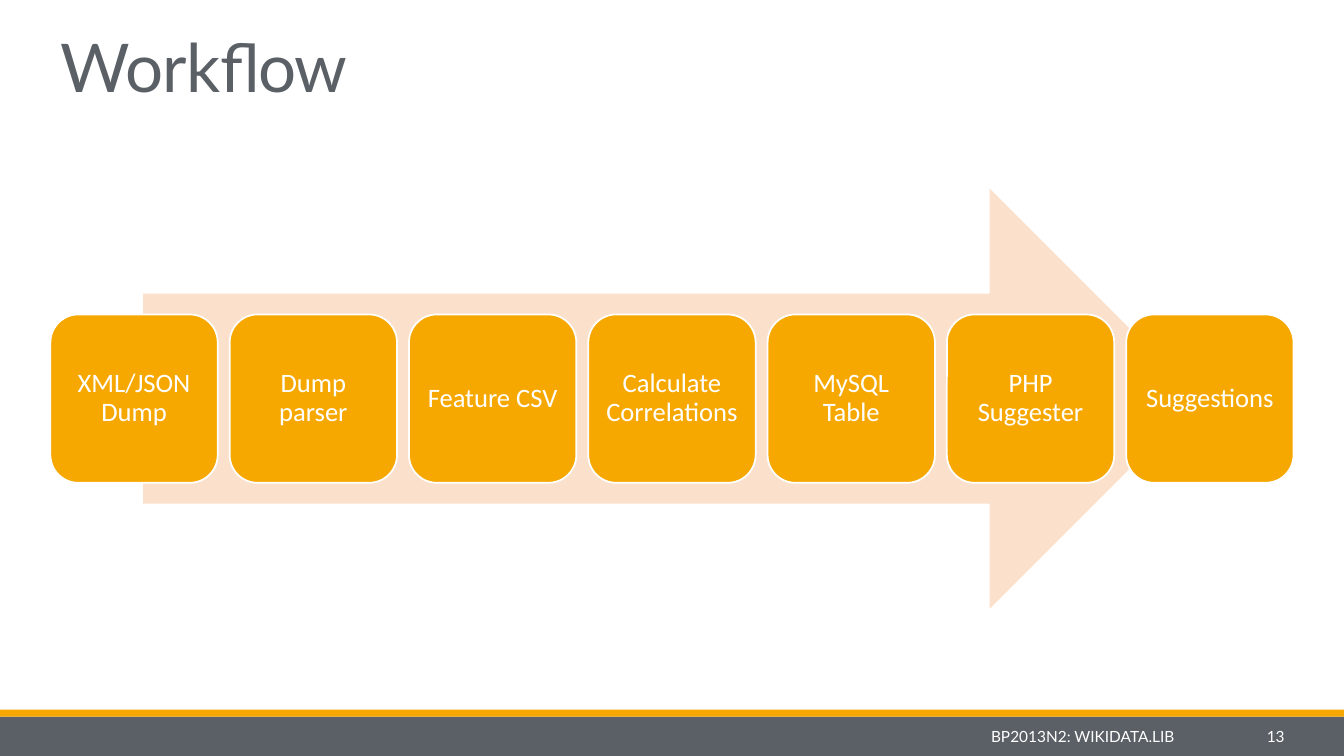
from pptx import Presentation
from pptx import util as u
from pptx.dml import color
from pptx.enum import shapes, text

HUES = {"gray": "5A6065", "gold": "F6A800", "peach": "FBE1CC", "white": "FFFFFF"}
STEPS = ["XML/JSON Dump", "Dump parser", "Feature CSV", "Calculate Correlations",
         "MySQL Table", "PHP Suggester", "Suggestions"]
FORMS = shapes.MSO_SHAPE
ALIGN = text.PP_ALIGN
ANCHOR = text.MSO_ANCHOR


def hue(name):
    return color.RGBColor.from_string(HUES[name])


def add_form(slide, kind, box, fill, line=None):
    form = slide.shapes.add_shape(kind, *map(u.Inches, box))
    form.shadow.inherit = False
    form.fill.solid()
    form.fill.fore_color.rgb = hue(fill)
    if line:
        form.line.color.rgb = hue(line)
        form.line.width = u.Pt(1.25)
    else:
        form.line.fill.background()
    return form


def write(frame, words, size, font, ink, align, anchor=ANCHOR.MIDDLE, space=1.0):
    frame.word_wrap = True
    frame.auto_size = text.MSO_AUTO_SIZE.NONE
    frame.vertical_anchor = anchor
    para = frame.paragraphs[0]
    para.alignment = align
    para.line_spacing = space
    run = para.add_run()
    run.text = words
    run.font.size = u.Pt(size)
    run.font.name = font
    run.font.color.rgb = hue(ink)
    return run


def add_title(slide, words):
    title = slide.shapes.title
    title.left, title.top, title.width, title.height = map(u.Inches, (0.5, 0, 11.04, 1.1))
    run = write(title.text_frame, words, 48, "Lato", "gray", ALIGN.LEFT, ANCHOR.BOTTOM, 0.85)
    run.font._element.set("spc", "-50")


def add_step(slide, left, words):
    step = add_form(slide, FORMS.ROUNDED_RECTANGLE, (left, 3.12, 1.66, 1.67), "gold", "white")
    frame = step.text_frame
    frame.margin_left = frame.margin_right = u.Inches(0.08)
    frame.margin_top = frame.margin_bottom = u.Inches(0.08)
    write(frame, words, 19, "Calibri", "white", ALIGN.CENTER, space=0.9)


def add_note(slide, left, width, words):
    note = slide.shapes.add_textbox(*map(u.Inches, (left, 7.11, width, 0.39)))
    write(note.text_frame, words, 11, "Lato", "white", ALIGN.RIGHT)


def main():
    deck = Presentation()
    deck.slide_width, deck.slide_height = u.Inches(13.33), u.Inches(7.5)
    slide = deck.slides.add_slide(deck.slide_layouts[5])
    add_form(slide, FORMS.RECTANGLE, (0, 7.11, 13.33, 0.39), "gray")
    add_form(slide, FORMS.RECTANGLE, (0, 7.04, 13.33, 0.07), "gold")
    add_title(slide, "Workflow")
    add_form(slide, FORMS.RIGHT_ARROW, (1.42, 1.87, 10.48, 4.17), "peach")
    pitch = (11.17 - 0.5) / (len(STEPS) - 1)
    for i, words in enumerate(STEPS):
        add_step(slide, 0.5 + i * pitch, words)
    add_note(slide, 1.59, 10.16, "BP2013N2: WIKIDATA.LIB")
    add_note(slide, 11.79, 1.05, "13")
    deck.save("out.pptx")


if __name__ == "__main__":
    main()
